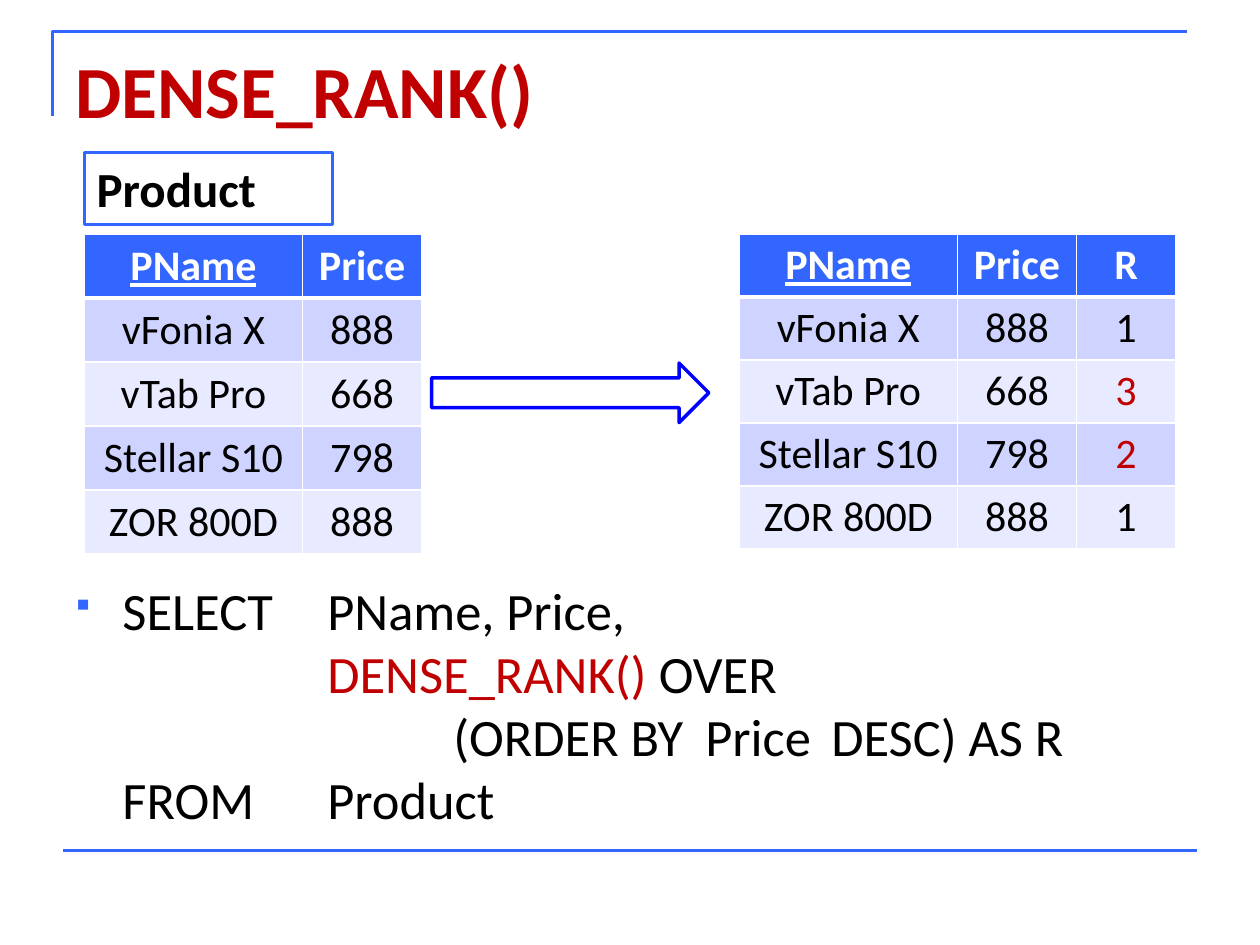
"""Build the DENSE_RANK() slide with its input table, result table and query."""
from lxml import etree
from pptx import Presentation, util as u
from pptx.dml.color import RGBColor
from pptx.enum import shapes, text
from pptx.oxml import ns

COLORS = {"accent": "3366FF", "red": "C00000", "black": "000000", "white": "FFFFFF",
          "odd": "CED3FF", "even": "E8EAFF", "arrow": "0000FF"}
FONT = "Calibri"

TITLE = [("DENSE_RANK()", "red")]
QUERY = [("SELECT\tPName, Price,\n\t\t", "black"),
         ("DENSE_RANK()", "red"),
         (" OVER\n\t\t\t(ORDER BY\tPrice \tDESC) AS R\nFROM\tProduct", "black")]
HEADERS = ["PName", "Price", "R"]
PRODUCTS = [("vFonia X", "888", "1"), ("vTab Pro", "668", "3"),
            ("Stellar S10", "798", "2"), ("ZOR 800D", "888", "1")]
COLUMN_WIDTHS = [4.4, 2.4, 2.0]
CHANGED_RANKS = {"2", "3"}
TABLES = [{"left": 1.7, "columns": 2, "row_height": 1.29},
          {"left": 14.9, "columns": 3, "row_height": 1.27}]
TABLE_TOP = 4.72


def rgb(name):
    return RGBColor.from_string(COLORS[name])


def add_xml(parent, tag, **attributes):
    element = etree.SubElement(parent, ns.qn(tag))
    for key, value in attributes.items():
        element.set(key, str(value))
    return element


def write(frame, runs, size, bold=False, underline=False, align=text.PP_ALIGN.LEFT):
    paragraph = frame.paragraphs[0]
    paragraph.alignment = align
    for content, color in runs:
        for index, line in enumerate(content.split("\n")):
            if index:
                paragraph.add_line_break()
            if line:
                run = paragraph.add_run()
                run.text = line
                run.font.name, run.font.size = FONT, u.Pt(size)
                run.font.bold, run.font.underline = bold, underline
                run.font.color.rgb = rgb(color)
    paragraph.font.name, paragraph.font.size = FONT, u.Pt(size)


def add_text_box(slide, left, top, width, height):
    box = slide.shapes.add_textbox(u.Cm(left), u.Cm(top), u.Cm(width), u.Cm(height))
    box.text_frame.word_wrap = True
    box.text_frame.vertical_anchor = text.MSO_ANCHOR.TOP
    return box


def set_outline(shape, color, width):
    shape.line.color.rgb = rgb(color)
    shape.line.width = u.Pt(width)


def add_frame_lines(slide):
    builder = slide.shapes.build_freeform(u.Cm(1.06), u.Cm(2.33))
    builder.add_line_segments([(u.Cm(1.06), u.Cm(0.64)), (u.Cm(23.92), u.Cm(0.64))], close=False)
    bracket = builder.convert_to_shape()
    bracket.fill.background()
    bracket.shadow.inherit = False
    rule = slide.shapes.add_connector(shapes.MSO_CONNECTOR.STRAIGHT,
                                      u.Cm(1.27), u.Cm(17.14), u.Cm(24.13), u.Cm(17.14))
    add_xml(rule.element.spPr, "a:effectLst")
    for shape in (bracket, rule):
        set_outline(shape, "accent", 1.5)


def add_query(slide):
    frame = add_text_box(slide, 1.27, 11.53, 22.63, 5.51).text_frame
    properties = frame.paragraphs[0]._p.get_or_add_pPr()
    for key, value in (("marL", u.Cm(0.95)), ("indent", u.Cm(-0.95)), ("defTabSz", u.Cm(2.54))):
        properties.set(key, str(int(value)))
    add_xml(add_xml(properties, "a:buClr"), "a:srgbClr", val=COLORS["accent"])
    add_xml(properties, "a:buSzPct", val=65000)
    add_xml(properties, "a:buFont", typeface="Wingdings", charset=2)
    add_xml(properties, "a:buChar", char="§")
    write(frame, QUERY, size=30)


def style_cell(cell, fill, header):
    properties = cell._tc.get_or_add_tcPr()
    for side in "LRTB":
        width = u.Pt(3 if (header and side == "B") else 1)
        border = add_xml(properties, f"a:ln{side}", w=int(width))
        add_xml(add_xml(border, "a:solidFill"), "a:srgbClr", val=COLORS["white"])
    cell.fill.solid()
    cell.fill.fore_color.rgb = rgb(fill)
    cell.vertical_anchor = text.MSO_ANCHOR.MIDDLE
    cell.margin_top = cell.margin_bottom = u.Cm(0.1)


def add_product_table(slide, left, columns, row_height):
    rows = [HEADERS, *PRODUCTS]
    widths = COLUMN_WIDTHS[:columns]
    table = slide.shapes.add_table(len(rows), columns, u.Cm(left), u.Cm(TABLE_TOP),
                                   u.Cm(sum(widths)), u.Cm(row_height * len(rows))).table
    for column, width in zip(table.columns, widths):
        column.width = u.Cm(width)
    for row_index, row in enumerate(rows):
        table.rows[row_index].height = u.Cm(row_height)
        header = row_index == 0
        fill = "accent" if header else "odd" if row_index % 2 else "even"
        for column_index, value in enumerate(row[:columns]):
            cell = table.cell(row_index, column_index)
            style_cell(cell, fill, header)
            color = "white" if header else "red" if value in CHANGED_RANKS else "black"
            write(cell.text_frame, [(value, color)], size=24, bold=header,
                  underline=header and column_index == 0, align=text.PP_ALIGN.CENTER)


def main():
    presentation = Presentation()
    presentation.slide_width, presentation.slide_height = u.Cm(25.4), u.Cm(19.05)
    slide = presentation.slides.add_slide(presentation.slide_layouts[6])

    add_frame_lines(slide)
    title = add_text_box(slide, 1.27, 0.78, 22.86, 3.18)
    write(title.text_frame, TITLE, size=42, bold=True)
    add_query(slide)
    for table in TABLES:
        add_product_table(slide, **table)

    label = add_text_box(slide, 1.7, 3.08, 5.0, 1.45)
    set_outline(label, "accent", 2)
    write(label.text_frame, [("Product", "black")], size=28, bold=True)

    arrow = slide.shapes.add_shape(shapes.MSO_SHAPE.RIGHT_ARROW,
                                   u.Cm(8.7), u.Cm(7.32), u.Cm(5.59), u.Cm(1.2))
    arrow.fill.background()
    arrow.shadow.inherit = False
    set_outline(arrow, "arrow", 2)

    presentation.save("out.pptx")


if __name__ == "__main__":
    main()
